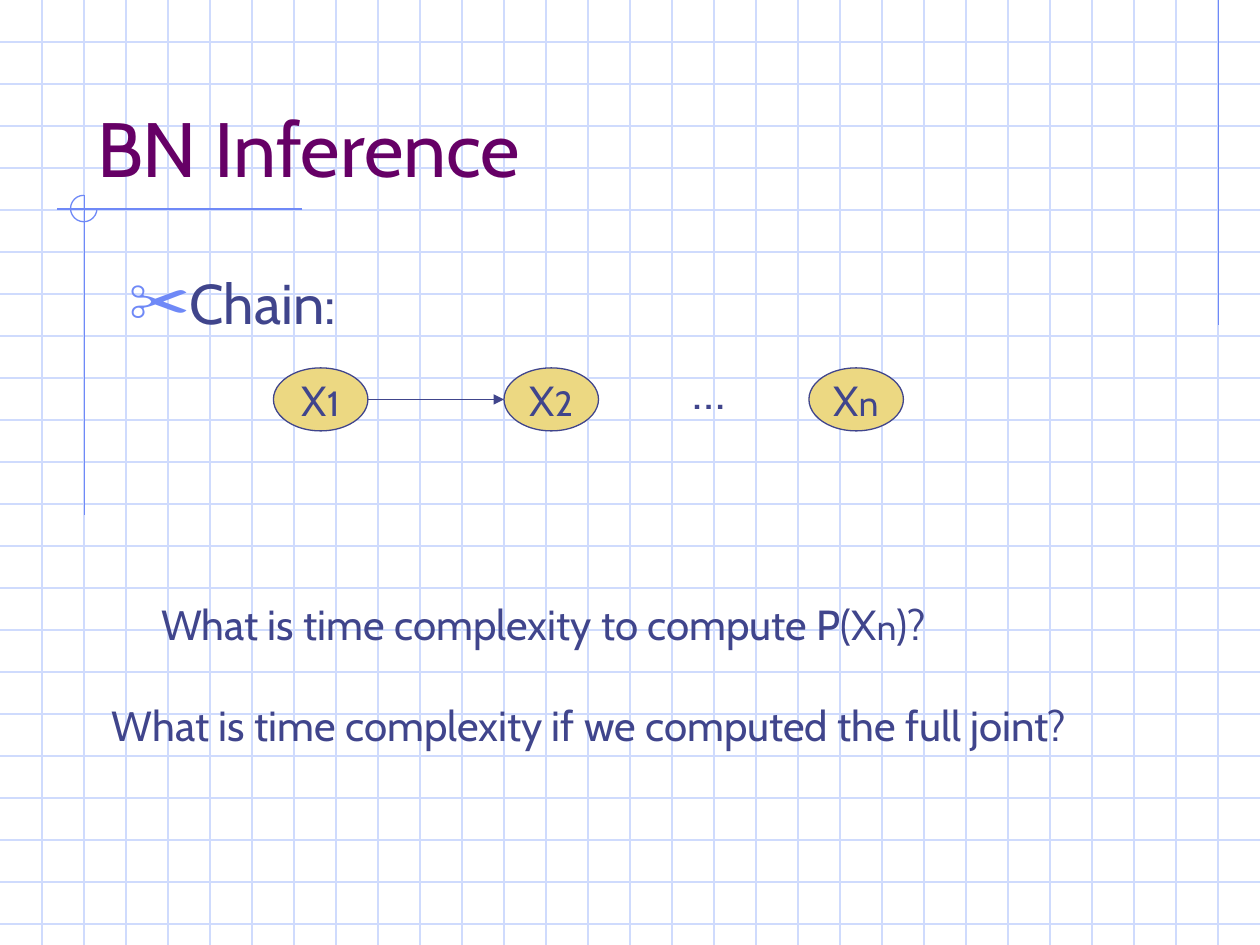
from lxml.etree import SubElement
from pptx import Presentation
from pptx.dml.color import RGBColor
from pptx.enum.shapes import MSO_CONNECTOR, MSO_SHAPE
from pptx.enum.text import MSO_ANCHOR, MSO_AUTO_SIZE, PP_ALIGN
from pptx.oxml.ns import qn
from pptx.util import Inches, Pt

FONT = "Cabin"
GRID = RGBColor(0xCF, 0xDB, 0xFD)
ACCENT = RGBColor(0x6F, 0x89, 0xF7)
INK = RGBColor(0x40, 0x45, 0x8C)
PURPLE = RGBColor(0x66, 0x00, 0x66)
SAND = RGBColor(0xEC, 0xD8, 0x82)

WIDTH, HEIGHT, CELL = 10, 7.5, 1 / 3
TITLE = "BN Inference"
TOPIC = "Chain:"
BULLET = "✂"
NODES = [("1", 2.17), ("2", 4), ("n", 6.42)]
NODE_TOP, NODE_WIDTH, NODE_HEIGHT = 2.92, 0.75, 0.5
NOTES = [
    ((5.4, 2.81, 0.5, 0.57), [("…", 28)]),
    ((1.18, 4.7, 6.83, 0.5),
     [("What is time complexity to compute P(X", 24), ("n", 20), (")?", 24)]),
    ((0.79, 5.5, 8.56, 0.5),
     [("What is time complexity if we computed the full joint?", 24)]),
]
RULES = [(9.67, 0, 9.67, 2.58), (2.4, 1.66, 0.45, 1.66), (0.67, 1.55, 0.67, 4.09)]
RING = (0.56, 1.55, 0.21, 0.21)


def box(*lengths):
    return [Inches(length) for length in lengths]


def add_line(ends, color):
    line = slide.shapes.add_connector(MSO_CONNECTOR.STRAIGHT, *box(*ends))
    line.line.color.rgb = color
    line.line.width = Pt(0.75)
    SubElement(line._element.spPr, qn("a:effectLst"))
    return line


def style(font, size, color):
    font.name, font.size, font.color.rgb = FONT, Pt(size), color


def write(frame, runs):
    frame.word_wrap = False
    for text, size in runs:
        run = frame.paragraphs[0].add_run()
        run.text = text
        style(run.font, size, INK)


def fill_placeholder(holder, place, text, size, color, anchor):
    slide.shapes._spTree.append(holder._element)
    holder.left, holder.top, holder.width, holder.height = box(*place)
    frame = holder.text_frame
    frame.text = text
    frame.auto_size = MSO_AUTO_SIZE.NONE
    frame.vertical_anchor = anchor
    paragraph = frame.paragraphs[0]
    paragraph.alignment = PP_ALIGN.LEFT
    paragraph.space_before = Pt(0)
    style(paragraph.runs[0].font, size, color)
    return paragraph


prs = Presentation()
prs.slide_width, prs.slide_height = box(WIDTH, HEIGHT)
slide = prs.slides.add_slide(prs.slide_layouts[1])

for row in range(1, int(HEIGHT / CELL) + 1):
    add_line((0, row * CELL, WIDTH, row * CELL), GRID)
for column in range(1, round(WIDTH / CELL)):
    add_line((column * CELL, 0, column * CELL, HEIGHT), GRID)
for rule in RULES:
    add_line(rule, ACCENT)

ring = slide.shapes.add_shape(MSO_SHAPE.ARC, *box(*RING))
ring.adjustments[0], ring.adjustments[1] = 0, 162
ring.shadow.inherit = False
ring.fill.background()
ring.line.color.rgb = ACCENT
ring.line.width = Pt(0.75)

fill_placeholder(slide.shapes.title, (0.67, 0.33, 8.5, 1.25),
                 TITLE, 44, PURPLE, MSO_ANCHOR.BOTTOM)
topic = fill_placeholder(slide.placeholders[1], (0.92, 2.08, 8.5, 4.5),
                         TOPIC, 32, INK, MSO_ANCHOR.TOP)
properties = topic._p.get_or_add_pPr()
properties.set("marL", str(Inches(0.38)))
properties.set("indent", str(Inches(-0.38)))
SubElement(SubElement(properties, qn("a:buClr")), qn("a:srgbClr"), val=str(ACCENT))
SubElement(properties, qn("a:buSzPct"), val="110000")
SubElement(properties, qn("a:buChar"), char=BULLET)

for index, left in NODES:
    node = slide.shapes.add_shape(
        MSO_SHAPE.OVAL, *box(left, NODE_TOP, NODE_WIDTH, NODE_HEIGHT))
    node.shadow.inherit = False
    node.fill.solid()
    node.fill.fore_color.rgb = SAND
    node.line.color.rgb = INK
    node.line.width = Pt(0.75)
    node.text_frame.vertical_anchor = MSO_ANCHOR.MIDDLE
    node.text_frame.paragraphs[0].alignment = PP_ALIGN.CENTER
    write(node.text_frame, [("X", 24), (index, 20)])

middle = NODE_TOP + NODE_HEIGHT / 2
arrow = add_line((NODES[0][1] + NODE_WIDTH, middle, NODES[1][1], middle), INK)
SubElement(arrow.line._get_or_add_ln(), qn("a:tailEnd"), type="triangle")

for place, runs in NOTES:
    note = slide.shapes.add_textbox(*box(*place))
    write(note.text_frame, runs)
    note.text_frame.auto_size = MSO_AUTO_SIZE.SHAPE_TO_FIT_TEXT

prs.save("out.pptx")
